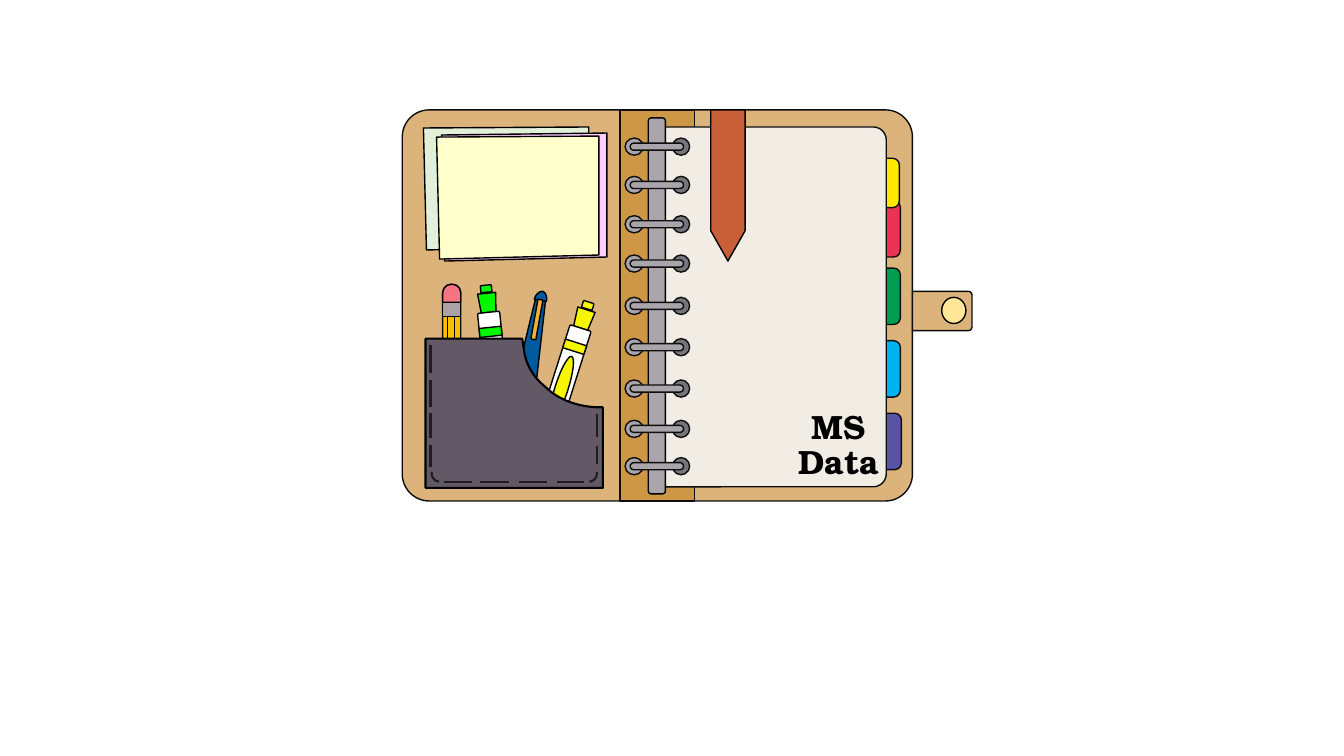
from dataclasses import dataclass
from math import cos, radians, sin

from lxml.etree import SubElement
from pptx import Presentation
from pptx.dml.color import RGBColor
from pptx.enum.shapes import MSO_CONNECTOR, MSO_SHAPE as Kind
from pptx.enum.text import MSO_AUTO_SIZE, PP_ALIGN
from pptx.oxml.ns import qn
from pptx.util import Inches, Pt


@dataclass(frozen=True)
class Theme:
    font: str = "TeX Gyre Bonum"
    label_size: int = 24
    label_leading: int = 25
    thin: float = 1
    thick: float = 1.5
    black: str = "000000"
    ink: str = "0D0D0D"
    stitch: str = "201D21"
    leather: str = "DCB47B"
    spine: str = "CE9746"
    button: str = "FFE699"
    page: str = "F1ECE4"
    metal: str = "A9A5AA"
    hole: str = "75767C"
    bookmark: str = "C95F39"
    pocket: str = "635866"
    pencil: str = "F7C005"
    eraser: str = "F77583"
    ferrule: str = "AAA2A5"
    pen: str = "005B9E"
    clip: str = "F3B137"
    white: str = "FFFFFF"
    green: str = "02F600"
    yellow: str = "F6F600"


THEME = Theme()


@dataclass
class Region:
    """Part of the slide; its members are placed from its top left corner."""
    shapes: object
    left: float
    top: float

    def inner(self, x, y):
        return Region(self.shapes, self.left + x, self.top + y)

    def paint(self, part, fill, color, width):
        part.shadow.inherit = False
        if fill:
            part.fill.solid()
            part.fill.fore_color.rgb = RGBColor.from_string(fill)
        else:
            part.fill.background()
        part.line.color.rgb = RGBColor.from_string(color)
        part.line.width = Pt(width)

    def shape(self, kind, x, y, w, h, fill, color=THEME.black, adj=(), turn=0, width=THEME.thin):
        part = self.shapes.add_shape(kind, Inches(self.left + x), Inches(self.top + y),
                                     Inches(w), Inches(h))
        for index, value in enumerate(adj):
            part.adjustments[index] = value
        part.rotation = turn % 360
        self.paint(part, fill, color, width)

    def right_rounded(self, x, y, w, h, fill, radius):
        """Box with its two right corners rounded: a top-rounded box on its side."""
        self.shape(Kind.ROUND_2_SAME_RECTANGLE, x + (w - h) / 2, y + (h - w) / 2, h, w,
                   fill, THEME.ink, (radius, 0), 90)

    def line(self, x1, y1, x2, y2, color=THEME.black, width=THEME.thin):
        ends = [Inches(n) for n in (self.left + x1, self.top + y1, self.left + x2, self.top + y2)]
        stroke = self.shapes.add_connector(MSO_CONNECTOR.STRAIGHT, *ends)
        stroke.line.color.rgb = RGBColor.from_string(color)
        stroke.line.width = Pt(width)
        SubElement(stroke._element.spPr, qn("a:effectLst"))

    def outline(self, contours, fill, width=THEME.thin):
        paths = [[(Inches(self.left + x), Inches(self.top + y)) for x, y in contour]
                 for contour in contours]
        builder = self.shapes.build_freeform(*paths[0][0], scale=1.0)
        for number, path in enumerate(paths):
            if number:
                builder.move_to(*path[0])
            builder.add_line_segments(path[1:], close=True)
        self.paint(builder.convert_to_shape(), fill, THEME.black, width)


def curve(start, control1, control2, end, steps=12):
    """Points of a cubic curve, without its start."""
    points = []
    for step in range(1, steps + 1):
        t = step / steps
        weights = ((1 - t) ** 3, 3 * t * (1 - t) ** 2, 3 * t * t * (1 - t), t ** 3)
        points.append(tuple(sum(w * p[axis] for w, p in
                                zip(weights, (start, control1, control2, end)))
                            for axis in (0, 1)))
    return points


def draw_cover(book):
    book.shape(Kind.ROUNDED_RECTANGLE, 0, 0, 5.06, 3.88, THEME.leather, THEME.ink, (0.069,))
    # Clasp
    book.right_rounded(5.06, 1.8, 0.59, 0.39, THEME.leather, 0.091)
    book.shape(Kind.OVAL, 5.35, 1.86, 0.24, 0.26, THEME.button)
    # Spine
    book.shape(Kind.RECTANGLE, 2.16, 0, 0.74, 3.88, THEME.spine, THEME.ink)


def draw_pages(pages):
    # Index tabs, tucked under the page
    for x, y, height, color in ((2.21, 0.73, 0.56, "EB3453"), (2.2, 0.31, 0.49, "FFE901"),
                                (2.21, 1.4, 0.56, "009C50"), (2.21, 2.12, 0.56, "00B2F0"),
                                (2.22, 2.84, 0.56, "5853A4")):
        pages.right_rounded(x, y, 0.15, height, color, 0.445)
    pages.right_rounded(0, 0, 2.22, 3.57, THEME.page, 0.058)


def draw_binder(binder):
    binder.shape(Kind.ROUNDED_RECTANGLE, 0.23, 0, 0.17, 3.73, THEME.metal)
    for y in (0.2, 0.58, 0.97, 1.36, 1.78, 2.19, 2.6, 3, 3.37):
        binder.shape(Kind.OVAL, 0.47, y, 0.17, 0.17, THEME.hole, THEME.ink)
        binder.shape(Kind.OVAL, 0, y, 0.18, 0.17, THEME.metal, THEME.ink)
        binder.shape(Kind.ROUNDED_RECTANGLE, 0.05, y + 0.05, 0.53, 0.07,
                     THEME.metal, THEME.ink, (0.5,))


def draw_pencil(pencil):
    pencil.shape(Kind.ROUND_2_SAME_RECTANGLE, 0, 0, 0.18, 1.65,
                 THEME.pencil, THEME.ink, (0.474, 0))
    pencil.shape(Kind.ROUND_2_SAME_RECTANGLE, 0, 0, 0.18, 0.18, THEME.eraser, adj=(0.474, 0))
    pencil.shape(Kind.RECTANGLE, 0, 0.18, 0.18, 0.14, THEME.ferrule)
    for x in (0.05, 0.12):
        pencil.line(x, 0.32, x, 1.5)


def draw_pen(pen):
    body = [(0.21, 0.08), (0.31, 0.1), (0.21, 0.98), (0, 0.94)]
    cap = [(0.28, 0), *curve((0.28, 0), (0.31, 0.01), (0.33, 0.05), (0.32, 0.1)), (0.26, 0.09),
           *curve((0.26, 0.09), (0.24, 0.08), (0.22, 0.08), (0.2, 0.08)),
           *curve((0.2, 0.08), (0.21, 0.03), (0.25, 0), (0.28, 0))]
    pen.outline([body, cap], THEME.pen)
    pen.shape(Kind.ROUNDED_RECTANGLE, 0.2, 0.08, 0.05, 0.4, THEME.clip, turn=10.2)


def draw_highlighter(center, color, tilt):
    """Place each part along the tilted axis through the middle of the barrel."""
    for kind, along, w, h, fill, adj, flip in (
            (Kind.TRAPEZOID, 0.72, 0.18, 0.19, color, (0.095,), 180),
            (Kind.ROUNDED_RECTANGLE, 0, 0.22, 1.25, THEME.white, (0.072,), 0),
            (Kind.ROUND_2_SAME_RECTANGLE, 0.86, 0.11, 0.07, color, (), 0),
            (Kind.OVAL, 0, 0.13, 0.66, color, (), 0),
            (Kind.RECTANGLE, 0.43, 0.22, 0.09, color, (), 0)):
        x, y = along * sin(radians(tilt)), -along * cos(radians(tilt))
        center.shape(kind, x - w / 2, y - h / 2, w, h, fill, adj=adj, turn=tilt + flip)


def draw_pocket(pocket):
    edge = [(0, 0), (0.96, 0), (0.98, 0.13),
            *curve((0.98, 0.13), (1, 0.26), (1.07, 0.38), (1.18, 0.47)),
            *curve((1.18, 0.47), (1.31, 0.6), (1.49, 0.67), (1.69, 0.68)),
            (1.76, 0.68), (1.76, 1.48), (0, 1.48)]
    pocket.outline([edge], THEME.pocket, THEME.thick)
    # Stitches along the bottom, the sides and the two corners
    for x1, x2 in ((0.18, 0.46), (0.54, 0.83), (0.93, 1.21), (1.3, 1.57)):
        pocket.line(x1, 1.42, x2, 1.42, THEME.stitch, THEME.thick)
    for x, y1, y2 in ((1.7, 0.75, 0.98), (1.7, 1.06, 1.24), (0.05, 0.06, 0.34),
                      (0.05, 0.41, 0.68), (0.05, 0.74, 0.99), (0.05, 1.05, 1.27)):
        pocket.line(x, y1, x, y2, THEME.stitch, THEME.thick)
    for x, angles in ((1.54, (153.13, 212.02)), (0.06, (1.48, 60.2))):
        pocket.shape(Kind.ARC, x, 1.26, 0.16, 0.16, None, THEME.stitch, angles, 92.6, THEME.thick)


def draw_notes(notes):
    for color, corners in (
            ("E2F0D9", [(0, 0.01), (1.64, 0), (1.64, 1.18), (0.03, 1.22)]),
            ("FFCCFF", [(0.18, 0.08), (1.82, 0.06), (1.82, 1.29), (0.21, 1.33)]),
            ("FFFFCC", [(0.13, 0.1), (1.74, 0.09), (1.74, 1.27), (0.16, 1.31)])):
        notes.outline([corners], color)


def draw_label(label):
    box = label.shapes.add_textbox(Inches(label.left), Inches(label.top), Inches(1.26), Inches(0.8))
    frame = box.text_frame
    frame.word_wrap = True
    frame.auto_size = MSO_AUTO_SIZE.SHAPE_TO_FIT_TEXT
    frame.text = "MS\nData"
    for paragraph in frame.paragraphs:
        paragraph.alignment = PP_ALIGN.CENTER
        paragraph.line_spacing = Pt(THEME.label_leading)
        font = paragraph.runs[0].font
        font.name, font.size, font.bold = THEME.font, Pt(THEME.label_size), True
        font.color.rgb = RGBColor.from_string(THEME.black)


def draw_organizer(book):
    draw_cover(book)
    draw_pages(book.inner(2.58, 0.17))
    draw_binder(book.inner(2.21, 0.08))
    # Pocket with its writing tools
    draw_pencil(book.inner(0.4, 1.73))
    draw_pen(book.inner(1.11, 1.8))
    draw_highlighter(book.inner(0.92, 2.63), THEME.green, -5.9)
    draw_highlighter(book.inner(1.58, 2.76), THEME.yellow, 17.6)
    draw_pocket(book.inner(0.23, 2.27))
    draw_notes(book.inner(0.21, 0.17))
    # Bookmark
    book.shape(Kind.FLOWCHART_OFFPAGE_CONNECTOR, 3.06, 0, 0.34, 1.5, THEME.bookmark)
    draw_label(book.inner(3.7, 2.94))


def main():
    deck = Presentation()
    deck.slide_width, deck.slide_height = Inches(13.33), Inches(7.5)
    slide = deck.slides.add_slide(deck.slide_layouts[6])
    draw_organizer(Region(slide.shapes, 3.99, 1.09))
    deck.save("out.pptx")


if __name__ == "__main__":
    main()
